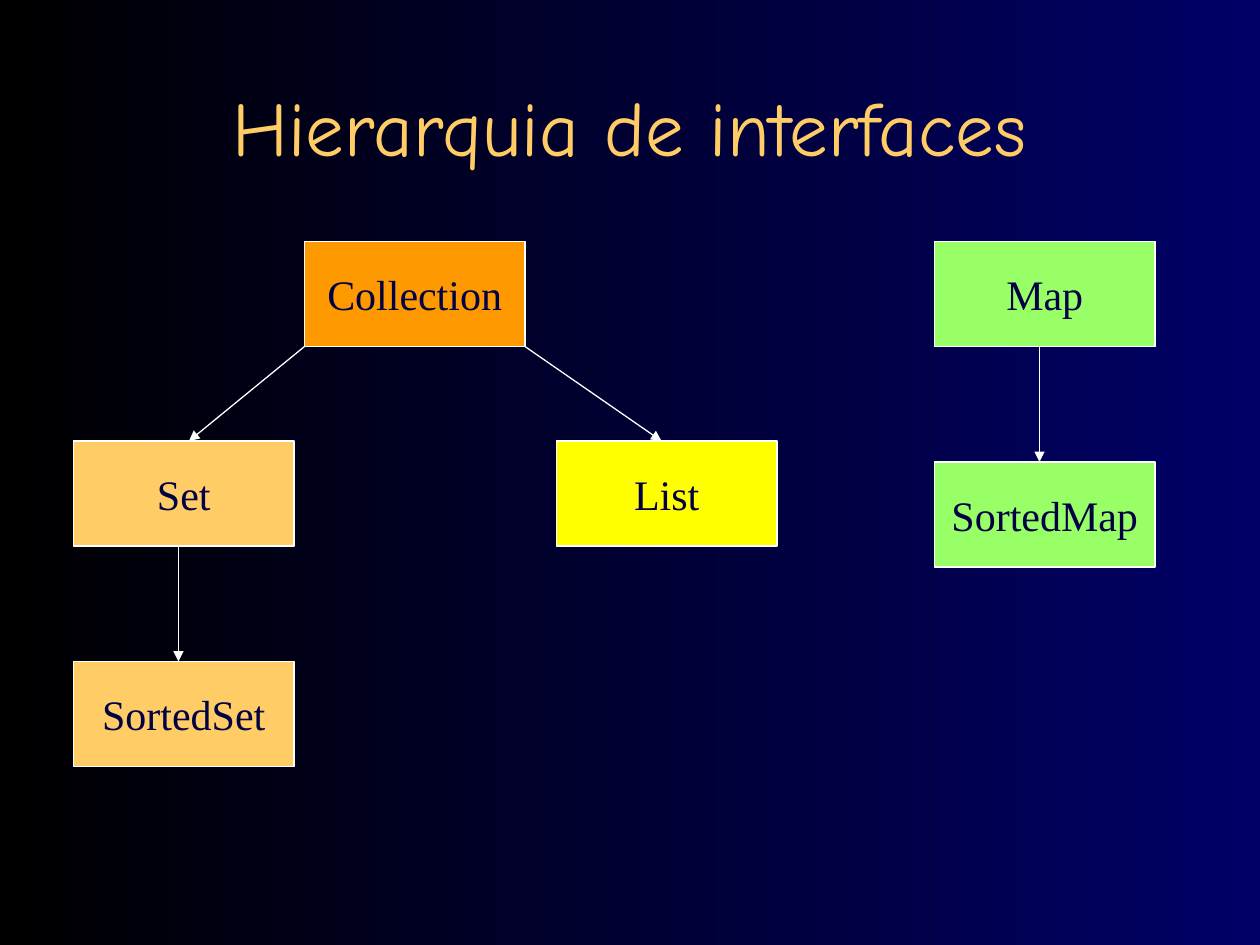
from dataclasses import dataclass
from typing import NamedTuple

from lxml.etree import SubElement
from pptx import Presentation
from pptx.dml.color import RGBColor
from pptx.enum.shapes import MSO_CONNECTOR, MSO_SHAPE
from pptx.enum.text import MSO_ANCHOR, MSO_AUTO_SIZE, PP_ALIGN
from pptx.oxml.ns import qn
from pptx.util import Inches, Pt

COLUMNS, ROWS = 120, 90
NODE_WIDTH, NODE_HEIGHT = 21, 10


@dataclass(frozen=True)
class Theme:
    """Colours, fonts and sizes of the slide."""
    night: str = "000066"
    black: str = "000000"
    gold: str = "FFCC66"
    orange: str = "FF9900"
    yellow: str = "FFFF00"
    green: str = "99FF66"
    white: str = "FFFFFF"
    ink: str = "000044"
    title_font: str = "Comic Neue"
    node_font: str = "Times New Roman"
    title_size: int = 44
    node_size: int = 24
    line_width: float = 0.75


class Box(NamedTuple):
    """A region in grid columns and rows."""
    left: int
    top: int
    width: int
    height: int


THEME = Theme()
SLIDE_WIDTH, SLIDE_HEIGHT = Inches(10), Inches(7.5)


def across(columns):
    """Convert grid columns to a length."""
    return round(SLIDE_WIDTH * columns / COLUMNS)


def down(rows):
    """Convert grid rows to a length."""
    return round(SLIDE_HEIGHT * rows / ROWS)


def rgb(code):
    """Return the colour for a hex code."""
    return RGBColor.from_string(code)


def write_text(shape, text, *, font, size, color, wrap=True):
    """Write one centred line in a shape."""
    frame = shape.text_frame
    frame.auto_size = MSO_AUTO_SIZE.NONE
    frame.word_wrap = wrap
    frame.vertical_anchor = MSO_ANCHOR.MIDDLE
    paragraph = frame.paragraphs[0]
    paragraph.alignment = PP_ALIGN.CENTER
    run = paragraph.add_run()
    run.text = text
    run.font.name = font
    run.font.size = Pt(size)
    run.font.color.rgb = rgb(color)


def style_line(line):
    """Give a line the colour and width of the theme."""
    line.color.rgb = rgb(THEME.white)
    line.width = Pt(THEME.line_width)


def paint_background(slide):
    """Fill the background from black to night blue."""
    fill = slide.background.fill
    fill.gradient()
    fill.gradient_angle = 180
    for stop, code in zip(fill.gradient_stops, (THEME.night, THEME.black)):
        stop.color.rgb = rgb(code)


def place_title(slide, box, text):
    """Place the slide title in its box."""
    title = slide.shapes.title
    title.left, title.top = across(box.left), down(box.top)
    title.width, title.height = across(box.width), down(box.height)
    write_text(title, text, font=THEME.title_font, size=THEME.title_size, color=THEME.gold)


def add_node(slide, box, name, color):
    """Draw one interface as a filled rectangle."""
    node = slide.shapes.add_shape(
        MSO_SHAPE.RECTANGLE, across(box.left), down(box.top),
        across(box.width), down(box.height))
    node.shadow.inherit = False
    node.fill.solid()
    node.fill.fore_color.rgb = rgb(color)
    style_line(node.line)
    write_text(node, name, font=THEME.node_font, size=THEME.node_size,
               color=THEME.ink, wrap=False)


def add_arrow(slide, start, end):
    """Draw an arrow between two grid points."""
    arrow = slide.shapes.add_connector(
        MSO_CONNECTOR.STRAIGHT, across(start[0]), down(start[1]),
        across(end[0]), down(end[1]))
    style_line(arrow.line)
    SubElement(arrow.line._get_or_add_ln(), qn("a:tailEnd"), type="triangle")
    SubElement(arrow._element.spPr, qn("a:effectLst"))


def draw_tree(slide, box, nodes, arrows):
    """Draw a hierarchy with nodes and arrows relative to its box."""
    for name, column, row, color in nodes:
        add_node(slide, Box(box.left + column, box.top + row, NODE_WIDTH, NODE_HEIGHT),
                 name, color)
    for start, end in arrows:
        add_arrow(slide, *((box.left + column, box.top + row) for column, row in (start, end)))


def draw_collection_tree(slide, box):
    """Draw Collection and its subinterfaces."""
    right, bottom = box.width - NODE_WIDTH, box.height - NODE_HEIGHT
    parent, middle = 22, 19
    nodes = [
        ("Collection", parent, 0, THEME.orange),
        ("Set", 0, middle, THEME.gold),
        ("List", right, middle, THEME.yellow),
        ("SortedSet", 0, bottom, THEME.gold),
    ]
    arrows = [
        ((parent, NODE_HEIGHT), (11, middle)),
        ((10, middle + NODE_HEIGHT), (10, bottom)),
        ((parent + NODE_WIDTH, NODE_HEIGHT), (right + 10, middle)),
    ]
    draw_tree(slide, box, nodes, arrows)


def draw_map_tree(slide, box):
    """Draw Map and its subinterface."""
    bottom = box.height - NODE_HEIGHT
    nodes = [("Map", 0, 0, THEME.green), ("SortedMap", 0, bottom, THEME.green)]
    draw_tree(slide, box, nodes, [((10, NODE_HEIGHT), (10, bottom))])


def main():
    """Build and save the slide."""
    deck = Presentation()
    deck.slide_width, deck.slide_height = SLIDE_WIDTH, SLIDE_HEIGHT
    slide = deck.slides.add_slide(deck.slide_layouts.get_by_name("Title Only"))
    paint_background(slide)
    place_title(slide, Box(9, 7, 102, 10), "Hierarquia de interfaces")
    draw_collection_tree(slide, Box(7, 23, 67, 50))
    draw_map_tree(slide, Box(89, 23, 21, 31))
    deck.save("out.pptx")


if __name__ == "__main__":
    main()
